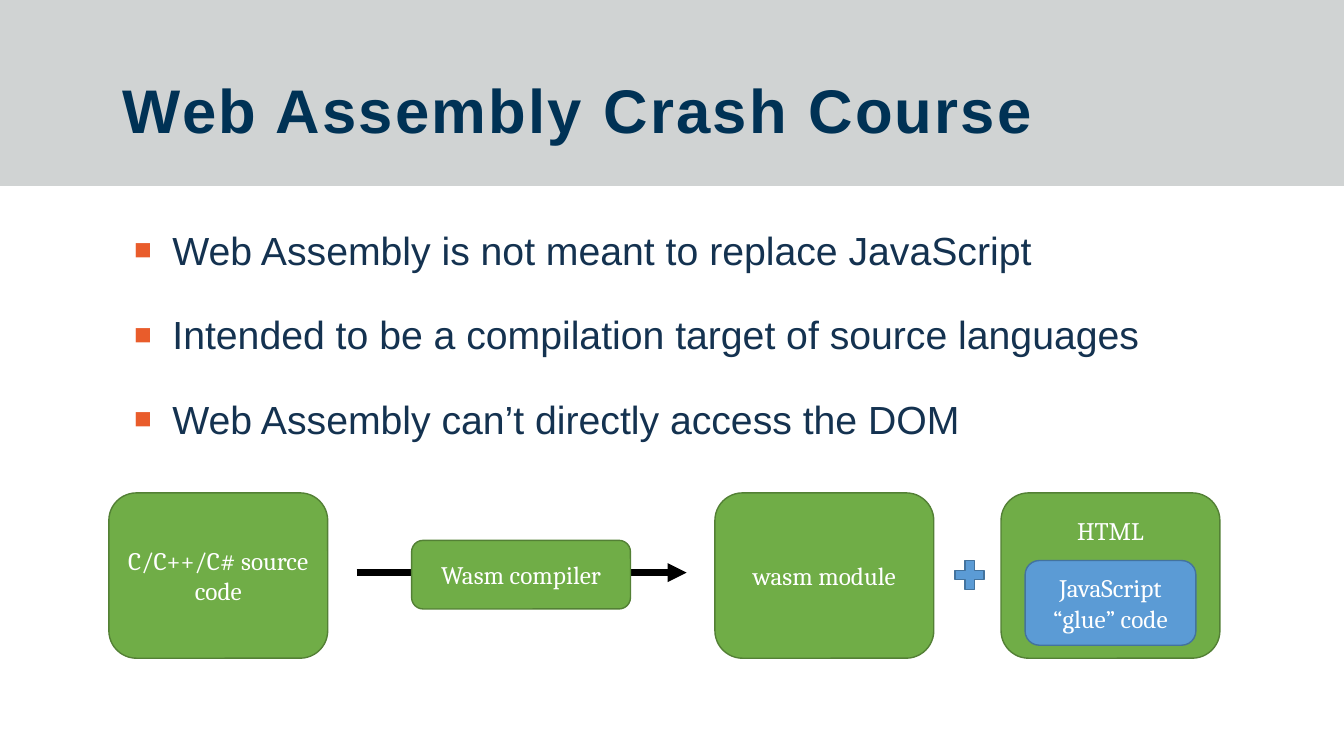
import collections
import lxml.etree
import pptx
import pptx.dml.color
import pptx.enum.shapes
import pptx.enum.text
import pptx.oxml.ns
import pptx.util

COLOURS = {
    "band": "D0D3D3", "title": "003255", "body": "143250", "bullet": "E95C2B",
    "green": "70AD47", "green_edge": "538035", "blue": "5B9BD5",
    "blue_edge": "43739E", "label": "FFFFFF", "arrow": "000000",
}
SHAPES = pptx.enum.shapes.MSO_SHAPE
ALIGN = pptx.enum.text.PP_ALIGN
ANCHOR = pptx.enum.text.MSO_ANCHOR


class Box(collections.namedtuple("Box", "left top width height")):
    def share(self, left, top, width, height):
        return Box(int(self.left + self.width * left / 100),
                   int(self.top + self.height * top / 100),
                   int(self.width * width / 100), int(self.height * height / 100))


def colour(name):
    return pptx.dml.color.RGBColor.from_string(COLOURS[name])


def add_xml(parent, tag, **attributes):
    return lxml.etree.SubElement(parent, pptx.oxml.ns.qn(tag), attributes)


def write(holder, *lines, font, size, ink, bold=False, align=ALIGN.LEFT,
          anchor=ANCHOR.MIDDLE, side=0.1, head=0.05, leading=1, before=0,
          tracking=None, bullet=None):
    frame = holder.text_frame
    frame.word_wrap = True
    frame.auto_size = pptx.enum.text.MSO_AUTO_SIZE.NONE
    frame.vertical_anchor = anchor
    frame.margin_left = frame.margin_right = pptx.util.Inches(side)
    frame.margin_top = pptx.util.Inches(head)
    frame.margin_bottom = pptx.util.Inches(0.05)
    frame.text = "\n".join(lines)
    for paragraph in frame.paragraphs:
        paragraph.alignment = align
        paragraph.line_spacing = leading
        paragraph.space_before = pptx.util.Pt(before)
        run = paragraph.runs[0]
        run.font.name, run.font.size = font, pptx.util.Pt(size)
        run.font.bold = bold
        run.font.color.rgb = colour(ink)
        if tracking:
            run.font._element.set("spc", str(int(tracking * 100)))
        if bullet:
            properties = paragraph._p.get_or_add_pPr()
            indent = pptx.util.Inches(0.38)
            properties.set("marL", str(indent))
            properties.set("indent", str(-indent))
            add_xml(add_xml(properties, "a:buClr"), "a:srgbClr", val=COLOURS["bullet"])
            add_xml(properties, "a:buSzPct", val="75000")
            add_xml(properties, "a:buFont", typeface="Arial")
            add_xml(properties, "a:buChar", char=bullet)


def place(holder, box):
    holder.left, holder.top, holder.width, holder.height = box


def add_block(slide, box, kind, fill, edge=None, label=None, **styling):
    block = slide.shapes.add_shape(kind, *box)
    block.shadow.inherit = False
    block.fill.solid()
    block.fill.fore_color.rgb = colour(fill)
    if edge:
        block.line.color.rgb = colour(edge)
        block.line.width = pptx.util.Pt(1)
    else:
        block.line.fill.background()
    if label:
        write(block, label, font="Cambria", size=18, ink="label",
              align=ALIGN.CENTER, **styling)
    return block


def add_header(slide, box, heading):
    band = add_block(slide, box, SHAPES.RECTANGLE, "band")
    slide.shapes._spTree.insert(2, band._element)
    title = slide.shapes.title
    place(title, box.share(5.4, 21.6, 88.75, 78.4))
    write(title, heading, font="Arial", size=44, ink="title", bold=True,
          side=0.5, leading=0.9, tracking=1.6)


def add_points(slide, box, points):
    body = slide.placeholders[1]
    place(body, box)
    write(body, *points, font="Arial", size=28, ink="body", anchor=ANCHOR.TOP,
          leading=1.5, before=10, bullet="■")


def add_arrow(slide, box):
    arrow = slide.shapes.add_connector(
        pptx.enum.shapes.MSO_CONNECTOR.STRAIGHT, box.left, box.top,
        box.left + box.width, box.top)
    arrow.line.color.rgb = colour("arrow")
    arrow.line.width = pptx.util.Pt(4.5)
    add_xml(arrow.line._get_or_add_ln(), "a:tailEnd", type="triangle")
    add_xml(arrow._element.spPr, "a:effectLst")


def add_pipeline(slide, box):
    step_width = 19.7
    add_arrow(slide, box.share(22.3, 48.2, 29.7, 0))
    steps = [
        ("C/C++/C# source code", 0, 0, 100, {}),
        ("Wasm compiler", 27.25, 28.7, 41.5, {}),
        ("wasm module", 54.55, 0, 100, {}),
        ("HTML", 80.3, 0, 100, {"anchor": ANCHOR.TOP, "head": 0.14}),
    ]
    for label, left, top, height, styling in steps:
        step = box.share(left, top, step_width, height)
        add_block(slide, step, SHAPES.ROUNDED_RECTANGLE, "green", "green_edge",
                  label, **styling)
    html_page = step
    add_block(slide, html_page.share(11, 40.9, 78, 51.2), SHAPES.ROUNDED_RECTANGLE,
              "blue", "blue_edge", "JavaScript “glue” code")
    add_block(slide, box.share(75.7, 37.8, 3.54, 23.8), SHAPES.MATH_PLUS,
              "blue", "blue_edge")


deck = pptx.Presentation()
deck.slide_width = pptx.util.Inches(13.33)
deck.slide_height = pptx.util.Inches(7.5)
page_area = Box(0, 0, deck.slide_width, deck.slide_height)
crash_course = deck.slides.add_slide(deck.slide_layouts[1])
add_header(crash_course, page_area.share(0, 0, 100, 24.6), "Web Assembly Crash Course")
add_points(crash_course, page_area.share(9.23, 26.13, 82.5, 35.33), [
    "Web Assembly is not meant to replace JavaScript",
    "Intended to be a compilation target of source languages",
    "Web Assembly can’t directly access the DOM",
])
add_pipeline(crash_course, page_area.share(8.1, 65.2, 82.67, 21.87))
deck.save("out.pptx")
